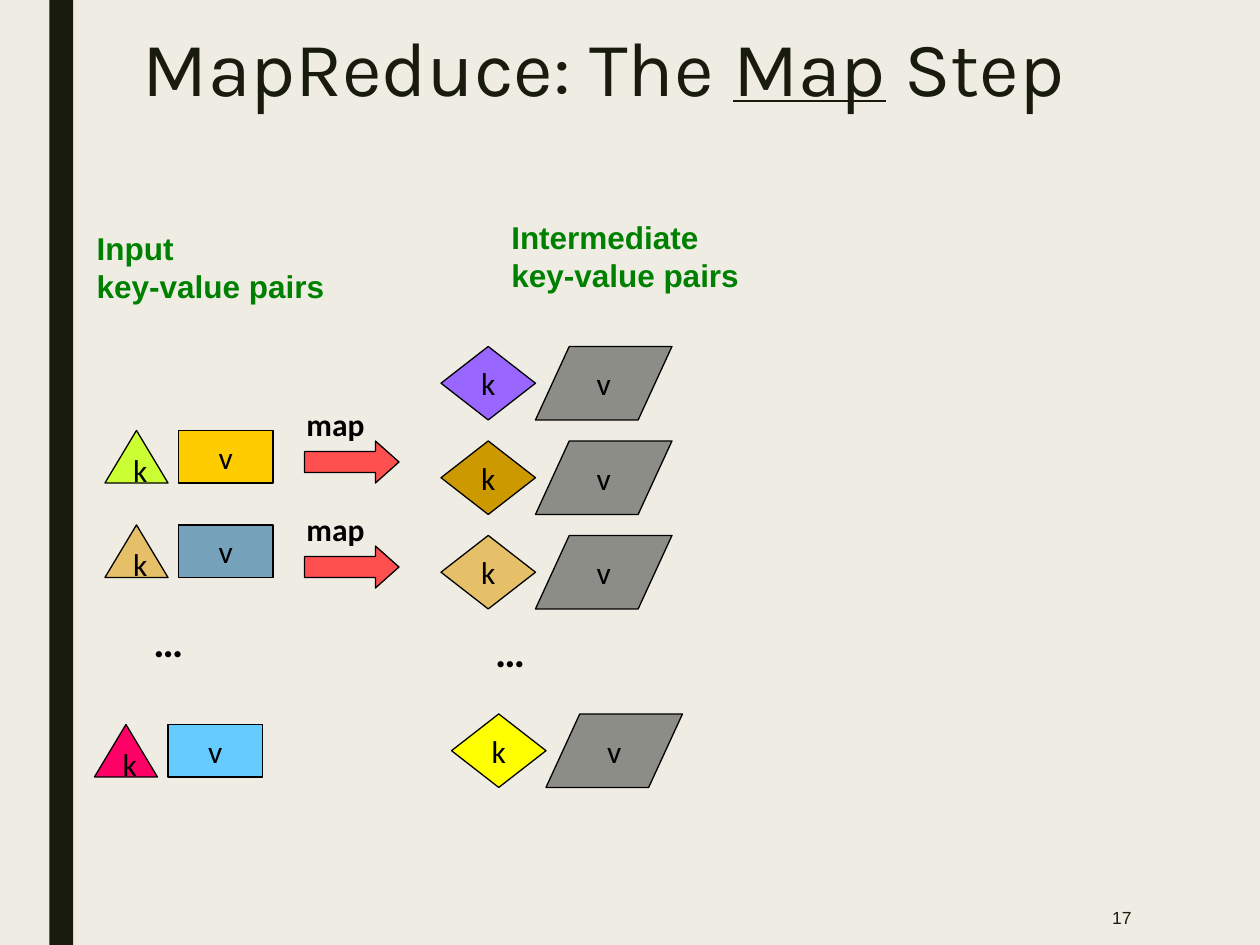
"""Builds the slide on the map step of MapReduce."""
from pptx import Presentation
from pptx.dml.color import RGBColor
from pptx.enum.shapes import MSO_SHAPE
from pptx.enum.text import MSO_ANCHOR, PP_ALIGN
from pptx.util import Pt

RECT, ARROW = MSO_SHAPE.RECTANGLE, MSO_SHAPE.RIGHT_ARROW
TRI, DIAMOND = MSO_SHAPE.ISOSCELES_TRIANGLE, MSO_SHAPE.DIAMOND
SLANT = MSO_SHAPE.PARALLELOGRAM
MIDDLE, TOP = MSO_ANCHOR.MIDDLE, MSO_ANCHOR.TOP
LEFT, CENTER, RIGHT = PP_ALIGN.LEFT, PP_ALIGN.CENTER, PP_ALIGN.RIGHT

COLORS = {
    "paper": "EFEDE3", "ink": "191B0E", "black": "000000", "green": "008000",
    "lime": "CCFF33", "gold": "FFCC00", "sand": "E6C069", "steel": "77A2BB",
    "pink": "FF0066", "sky": "66CCFF", "violet": "9966FF", "ochre": "CC9900",
    "yellow": "FFFF00", "gray": "8C8D86", "red": "FF5050",
}
TITLE = [("MapReduce: The ", False), ("Map", True), (" Step", False)]
INPUTS = [(60, 246, "lime", "gold"), (60, 300, "sand", "steel"),
          (54, 414, "pink", "sky")]
PAIRS = [(252, 198, "violet"), (252, 252, "ochre"), (252, 306, "sand"),
         (258, 408, "yellow")]
MAPS = [228, 288]
HEADS = [("Input\nkey-value pairs", 48.2, 127.4, 169),
         ("Intermediate\nkey-value pairs", 285.1, 121, 146.2)]
DOTS = [(80.6, 348), (275.8, 354)]


def rgb(name):
    return RGBColor.from_string(COLORS[name])


def style(frame, size, face, color, bold=False, align=LEFT, anchor=TOP):
    frame.word_wrap = True
    frame.vertical_anchor = anchor
    for para in frame.paragraphs:
        para.alignment = align
        for run in para.runs:
            font = run.font
            font.size, font.name, font.bold = Pt(size), face, bold
            font.color.rgb = rgb(color)


def label(text, x, y, w, h, *look, **more):
    box = slide.shapes.add_textbox(Pt(x), Pt(y), Pt(w), Pt(h))
    box.text_frame.text = text
    style(box.text_frame, *look, **more)


def block(kind, x, y, w, h, fill, text="", line="black"):
    shape = slide.shapes.add_shape(kind, Pt(x), Pt(y), Pt(w), Pt(h))
    shape.shadow.inherit = False
    shape.fill.solid()
    shape.fill.fore_color.rgb = rgb(fill)
    if line:
        shape.line.color.rgb = rgb(line)
        shape.line.width = Pt(0.75)
    else:
        shape.line.fill.background()
    if text:
        shape.text_frame.text = text
        style(shape.text_frame, 18, "Calibri", "black",
              align=CENTER, anchor=MIDDLE)
    return shape


deck = Presentation()
deck.slide_width, deck.slide_height = Pt(720), Pt(540)
slide = deck.slides.add_slide(deck.slide_layouts[5])
slide.background.fill.solid()
slide.background.fill.fore_color.rgb = rgb("paper")
block(RECT, 28.2, 0, 13.6, 540, "ink", line=None)

title = slide.shapes.title
title.left, title.top = Pt(61.2), Pt(-17.3)
title.width, title.height = Pt(567.4), Pt(116.6)
para = title.text_frame.paragraphs[0]
para.line_spacing = 0.89
for text, under in TITLE:
    run = para.add_run()
    run.text = text
    run.font.underline = under
style(title.text_frame, 44, "Karla", "ink", align=CENTER, anchor=MIDDLE)

for text, x, y, w in HEADS:
    label(text, x, y, w, 51, 18, "Arial", "green", bold=True)

for x, y, key, value in INPUTS:
    block(TRI, x, y, 36, 30, key, "k")
    block(RECT, x + 42, y, 54, 30, value, "v")

for y in MAPS:
    arrow = block(ARROW, 174, y + 24, 54, 24, "red")
    arrow.adjustments[1] = 0.56
    label("map", 168, y, 49.7, 29, 18, "Calibri", "black", bold=True)

for x, y, key in PAIRS:
    block(DIAMOND, x, y, 54, 42, key, "k")
    slant = block(SLANT, x + 54, y, 78, 42, "gray", "v")
    slant.adjustments[0] = 0.46

for x, y in DOTS:
    label("…", x, y, 39.6, 36, 24, "Calibri", "black", bold=True)

label("17", 559.4, 508.3, 94.3, 31.7, 10, "Arial", "ink",
      align=RIGHT, anchor=MIDDLE)
deck.save("out.pptx")
